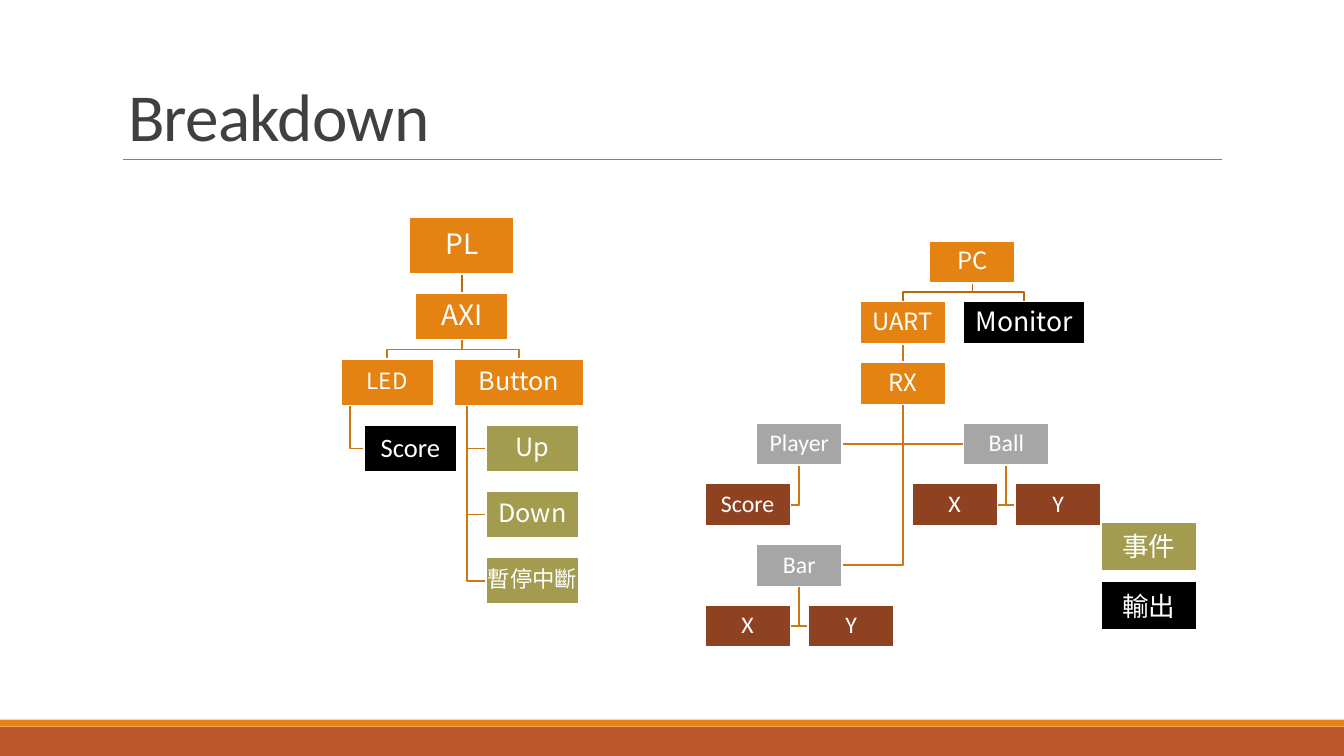
from dataclasses import dataclass
from typing import Iterator

from lxml import etree
from pptx import Presentation
from pptx.dml.color import RGBColor
from pptx.enum.shapes import MSO_CONNECTOR, MSO_SHAPE
from pptx.enum.text import MSO_ANCHOR, MSO_AUTO_SIZE, PP_ALIGN
from pptx.oxml.ns import qn
from pptx.util import Inches, Pt

RECTANGLE = MSO_SHAPE.RECTANGLE
STRAIGHT = MSO_CONNECTOR.STRAIGHT
MIDDLE = MSO_ANCHOR.MIDDLE
BOTTOM = MSO_ANCHOR.BOTTOM
CENTER = PP_ALIGN.CENTER
LEFT = PP_ALIGN.LEFT
NO_FIT = MSO_AUTO_SIZE.NONE

SANS, CJK = "Calibri", "Noto Sans CJK SC"
WHITE, BLACK, ORANGE, RUST = "FFFFFF", "000000", "E48312", "BD582C"
OLIVE, GRAY, BROWN = "A39B4E", "A6A6A6", "8E4221"
ROOT_LINK, LINK = "B7690E", "CF7710"

# How a node's links reach its children
FORK, SPINE, HANGER = "fork", "spine", "hanger"

# Grids of the two trees, in inches
PL_ROWS = [2.91 + row * (5.53 - 2.91) / 4 for row in range(5)]
PC_ROWS = [2.39 + row * (6 - 2.39) / 6 for row in range(7)]
PC_COLUMNS = [6.99 + column * (10.07 - 6.99) / 6 for column in range(7)]


@dataclass(frozen=True)
class Node:
    text: str
    left: float
    top: float
    width: float
    height: float
    fill: str = ORANGE
    size: float = 17
    font: str = CJK
    branch: str = FORK
    children: tuple["Node", ...] = ()
    spacing: float = 0.9

    @property
    def center(self) -> float:
        return self.left + self.width / 2


def pl_node(text: str, left: float, row: int, size: float, fill: str = ORANGE,
            width: float = 0.92, **options) -> Node:
    return Node(text, left, PL_ROWS[row], width, 0.46, fill, size, **options)


def pc_node(text: str, column: int, row: int, fill: str = ORANGE,
            width: float = 0.85, **options) -> Node:
    return Node(text, PC_COLUMNS[column], PC_ROWS[row], width, 0.42, fill, **options)


def value(text: str, column: int, row: int) -> Node:
    return pc_node(text, column, row, BROWN, font=SANS)


def part(text: str, column: int, row: int, *children: Node) -> Node:
    return pc_node(text, column, row, GRAY, font=SANS, branch=SPINE, children=children)


LED = pl_node("LED", 3.38, 1, 16, branch=HANGER, children=(
    pl_node("Score", 3.61, 2, 19, BLACK, font=SANS),))
BUTTON = pl_node("Button", 4.5, 1, 18, width=1.29, branch=HANGER, children=(
    pl_node("Up", 4.82, 2, 18, OLIVE),
    pl_node("Down", 4.82, 3, 18, OLIVE),
    pl_node("暫停中斷", 4.82, 4, 16, OLIVE)))
PL_TREE = Node("PL", 4.06, 2.15, 1.04, 0.57, size=20, children=(
    pl_node("AXI", 4.12, 0, 20, children=(LED, BUTTON)),))

RX = pc_node("RX", 3, 2, branch=SPINE, children=(
    part("Player", 1, 3, value("Score", 0, 4)),
    part("Ball", 5, 3, value("X", 4, 4), value("Y", 6, 4)),
    part("Bar", 1, 5, value("X", 0, 6), value("Y", 2, 6))))
PC_TREE = pc_node("PC", 3, 0, children=(
    pc_node("UART", 3, 1, children=(RX,)),
    pc_node("Monitor", 5, 1, BLACK, width=1.2, size=19)))
# The root sits midway over UART and the left half of Monitor
PC_TREE = Node("PC", 9.22, PC_ROWS[0], 0.85, 0.42, children=PC_TREE.children)

LEGEND = (Node("事件", 10.92, 5.18, 0.95, 0.48, OLIVE, 19, spacing=1),
          Node("輸出", 10.92, 5.77, 0.95, 0.48, BLACK, 19, spacing=1))


def rgb(color: str) -> RGBColor:
    return RGBColor.from_string(color)


def walk(node: Node) -> Iterator[Node]:
    yield node
    for child in node.children:
        yield from walk(child)


def style_paragraph(paragraph, font: str, size: float, color: str, spacing: float, align) -> None:
    paragraph.alignment = align
    paragraph.line_spacing = spacing
    paragraph.font.size = Pt(size)
    paragraph.font.color.rgb = rgb(color)
    paragraph.font.name = font
    properties = paragraph.font._element
    properties.find(qn("a:latin")).addnext(
        etree.Element(qn("a:ea"), typeface=font))


def add_box(slide, left: float, top: float, width: float, height: float, fill: str):
    shape = slide.shapes.add_shape(
        RECTANGLE, Inches(left), Inches(top), Inches(width), Inches(height))
    shape.shadow.inherit = False
    shape.fill.solid()
    shape.fill.fore_color.rgb = rgb(fill)
    shape.line.fill.background()
    return shape


def add_line(slide, start: tuple, end: tuple, color: str, weight: float) -> None:
    connector = slide.shapes.add_connector(
        STRAIGHT, *(Inches(length) for length in start + end))
    connector.line.color.rgb = rgb(color)
    connector.line.width = Pt(weight)
    etree.SubElement(connector._element.spPr, qn("a:effectLst"))


def add_link(slide, parent: Node, child: Node, color: str) -> None:
    start_x = parent.left + 0.1 * parent.width if parent.branch == HANGER else parent.center
    start_y = parent.top + parent.height
    if parent.branch == FORK:
        if abs(parent.center - child.center) < 0.01:
            add_line(slide, (start_x, start_y), (start_x, child.top), color, 1.25)
            return
        bend_y = (start_y + child.top) / 2
        # The Monitor box is wider than its column, so its link lands in its middle
        bends = [(start_x, bend_y), (child.center, bend_y), (child.center, child.top)]
    else:
        side_y = child.top + child.height / 2
        side_x = child.left if child.center > start_x else child.left + child.width
        bends = [(start_x, side_y), (side_x, side_y)]
    builder = slide.shapes.build_freeform(Inches(start_x), Inches(start_y))
    builder.add_line_segments([(Inches(x), Inches(y)) for x, y in bends], close=False)
    elbow = builder.convert_to_shape()
    elbow.shadow.inherit = False
    elbow.fill.background()
    elbow.line.color.rgb = rgb(color)
    elbow.line.width = Pt(1.25)


def add_node(slide, node: Node) -> None:
    shape = add_box(slide, node.left, node.top, node.width, node.height, node.fill)
    shape.line.color.rgb = rgb(WHITE)
    shape.line.width = Pt(1.25)
    frame = shape.text_frame
    frame.word_wrap = True
    frame.vertical_anchor = MIDDLE
    frame.margin_left = frame.margin_right = Inches(0.01)
    frame.margin_top = frame.margin_bottom = Inches(0.01)
    frame.text = node.text
    style_paragraph(frame.paragraphs[0], node.font, node.size, WHITE, node.spacing, CENTER)


def add_tree(slide, root: Node) -> None:
    for node in walk(root):
        for child in node.children:
            add_link(slide, node, child, ROOT_LINK if node is root else LINK)
    for node in walk(root):
        add_node(slide, node)


def add_title(slide, text: str) -> None:
    title = slide.shapes.title
    title.left, title.top = Inches(1.17), Inches(0)
    title.width, title.height = Inches(11), Inches(1.59)
    frame = title.text_frame
    frame.text = text
    frame.word_wrap = True
    frame.auto_size = NO_FIT
    frame.vertical_anchor = BOTTOM
    style_paragraph(frame.paragraphs[0], SANS, 48, "404040", 0.85, LEFT)
    frame.paragraphs[0].font._element.set("spc", "-50")


def main() -> None:
    presentation = Presentation()
    presentation.slide_width, presentation.slide_height = Inches(13.33), Inches(7.5)
    slide = presentation.slides.add_slide(presentation.slide_layouts[5])

    # Footer bands, title and rule
    add_box(slide, 0, 7.21, 13.33, 0.29, RUST)
    add_box(slide, 0, 7.14, 13.33, 0.07, ORANGE)
    add_line(slide, (1.22, 1.58), (12.12, 1.58), "808080", 0.5)
    add_title(slide, "Breakdown")

    # Trees and legend
    add_tree(slide, PL_TREE)
    for entry in LEGEND:
        add_node(slide, entry)
    add_tree(slide, PC_TREE)
    presentation.save("out.pptx")


if __name__ == "__main__":
    main()
